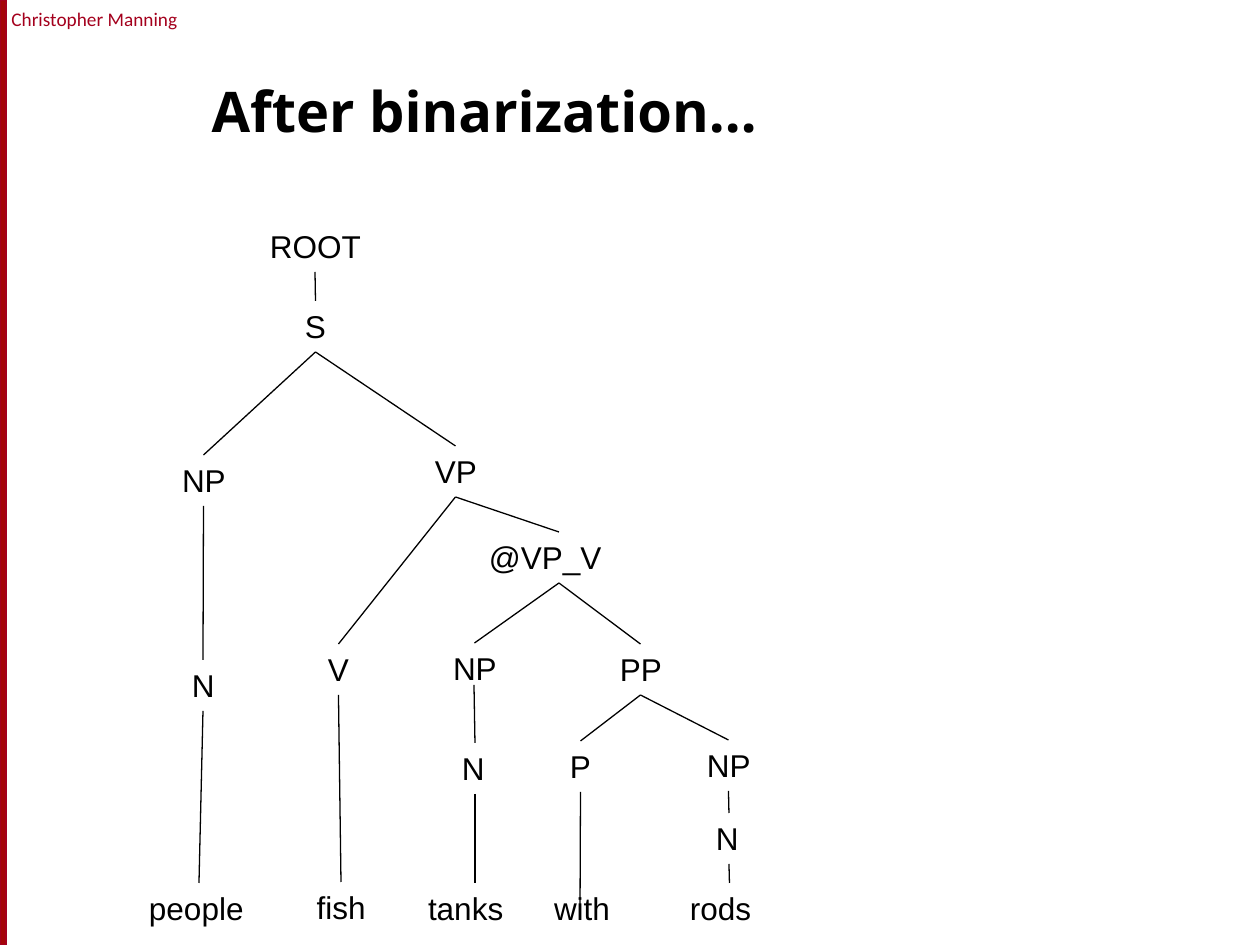
from pptx import Presentation
from pptx.dml.color import RGBColor
from pptx.enum.shapes import MSO_CONNECTOR, MSO_SHAPE
from pptx.enum.text import MSO_ANCHOR, PP_ALIGN
from pptx.oxml.ns import qn
from pptx.util import Emu, Pt

LINE = MSO_CONNECTOR.STRAIGHT
RECT = MSO_SHAPE.RECTANGLE
LEFT, MID = PP_ALIGN.LEFT, PP_ALIGN.CENTER
CENTER = MSO_ANCHOR.MIDDLE
BOTTOM, TOP = 2, 0
HIGH = 51
PAD = 13
BLACK = "000000"
RED = "A4001D"

NODES = {
    "root": ("ROOT", 257, 221, 116),
    "s": ("S", 292, 301, 47),
    "np1": ("NP", 169, 455, 69),
    "vp": ("VP", 422, 446, 67),
    "vpv": ("@VP_V", 476, 532, 166),
    "v": ("V", 315, 644, 47),
    "np2": ("NP", 440, 643, 69),
    "pp": ("PP", 607, 644, 67),
    "n1": ("N", 179, 660, 48),
    "n2": ("N", 449, 743, 52),
    "p": ("P", 557, 741, 47),
    "np3": ("NP", 694, 740, 69),
    "n3": ("N", 703, 813, 52),
    "people": ("people", 136, 883, 126),
    "fish": ("fish", 294, 882, 94),
    "tanks": ("tanks", 415, 883, 120),
    "with": ("with", 541, 883, 82),
    "rods": ("rods", 677, 883, 105),
}
TREE = {
    "root": ["s"],
    "s": ["np1", "vp"],
    "np1": ["n1"],
    "n1": ["people"],
    "vp": ["v", "vpv"],
    "v": ["fish"],
    "vpv": ["np2", "pp"],
    "np2": ["n2"],
    "n2": ["tanks"],
    "pp": ["p", "np3"],
    "p": ["with"],
    "np3": ["n3"],
    "n3": ["rods"],
}
STARTS = {"np2": (474, 685)}
ENDS = {"with": (580, 915)}


def px(num):
    """Turn px into EMU."""
    return Emu(round(num * 914400 / 126))


def color(code):
    """Turn a hex string into a colour."""
    return RGBColor.from_string(code)


def write(frame, text, font, size, code, align=LEFT, bold=False):
    """Write one formatted run into a text frame."""
    para = frame.paragraphs[0]
    para.alignment = align
    run = para.add_run()
    run.text = text
    run.font.name = font
    run.font.size = Pt(size)
    run.font.bold = bold
    run.font.color.rgb = color(code)


def add_text(slide, text, box, font, size, code, align=LEFT, pads=(PAD, 0)):
    """Add a text box with the given side insets."""
    shape = slide.shapes.add_textbox(*map(px, box))
    frame = shape.text_frame
    frame.word_wrap = True
    frame.margin_left, frame.margin_right = map(px, pads)
    write(frame, text, font, size, code, align)
    return shape


def add_node(slide, text, left, top, width):
    """Add one label of the tree."""
    align, pads = (MID, (PAD, PAD)) if text == "fish" else (LEFT, (PAD, 0))
    box = (left, top, width, HIGH)
    return add_text(slide, text, box, "Arial", 18, BLACK, align, pads)


def add_edge(slide, nodes, head, child):
    """Draw a branch from a node to its child."""
    start = STARTS.get(head, (0, 0))
    end = ENDS.get(child, (0, 0))
    edge = slide.shapes.add_connector(LINE, *map(px, start + end))
    if head not in STARTS:
        edge.begin_connect(nodes[head], BOTTOM)
    if child not in ENDS:
        edge.end_connect(nodes[child], TOP)
    edge.line.color.rgb = color(BLACK)
    edge.line.width = Pt(0.75)
    props = edge._element.spPr
    props.append(props.makeelement(qn("a:effectLst"), {}))


def add_tree(slide):
    """Draw the labels and the branches between them."""
    nodes = {key: add_node(slide, *row) for key, row in NODES.items()}
    for head, kids in TREE.items():
        for child in kids:
            add_edge(slide, nodes, head, child)


def add_bar(slide):
    """Draw the red bar at the left edge."""
    bar = slide.shapes.add_shape(RECT, *map(px, (0, 0, 6, 945)))
    bar.shadow.inherit = False
    bar.fill.solid()
    bar.fill.fore_color.rgb = color("A40508")
    bar.line.color.rgb = color(RED)
    bar.line.width = Pt(0.75)


def set_title(slide, text):
    """Place and format the title."""
    title = slide.shapes.title
    title.left, title.top, title.width, title.height = map(px, (199, 42, 1018, 136))
    frame = title.text_frame
    frame.vertical_anchor = CENTER
    write(frame, text, "Open Sans", 32, BLACK, bold=True)


def main():
    """Build and save the slide."""
    deck = Presentation()
    deck.slide_width, deck.slide_height = px(1260), px(945)
    slide = deck.slides.add_slide(deck.slide_layouts[5])
    set_title(slide, "After binarization…")
    add_text(slide, "Christopher Manning", (5, 1, 179, 37), "Calibri", 11, RED, MID, (0, 0))
    add_bar(slide)
    add_tree(slide)
    deck.save("out.pptx")


if __name__ == "__main__":
    main()
